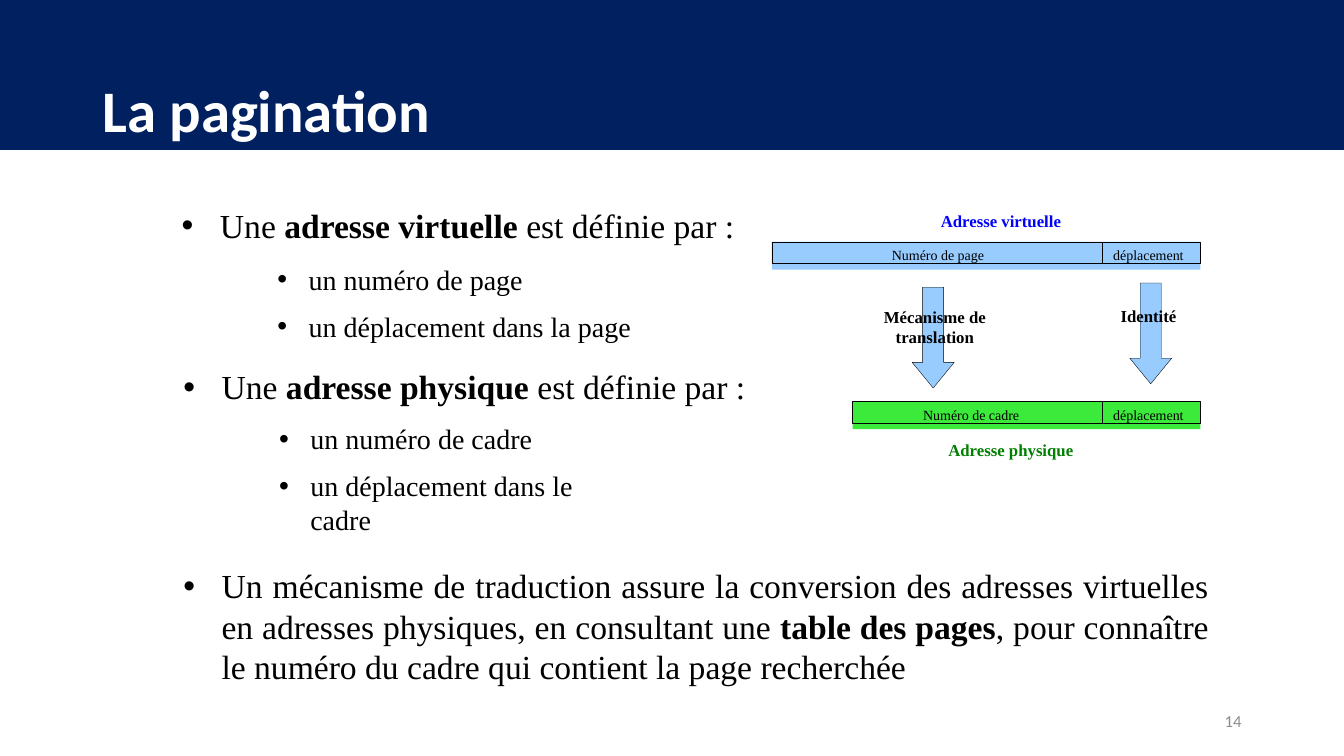
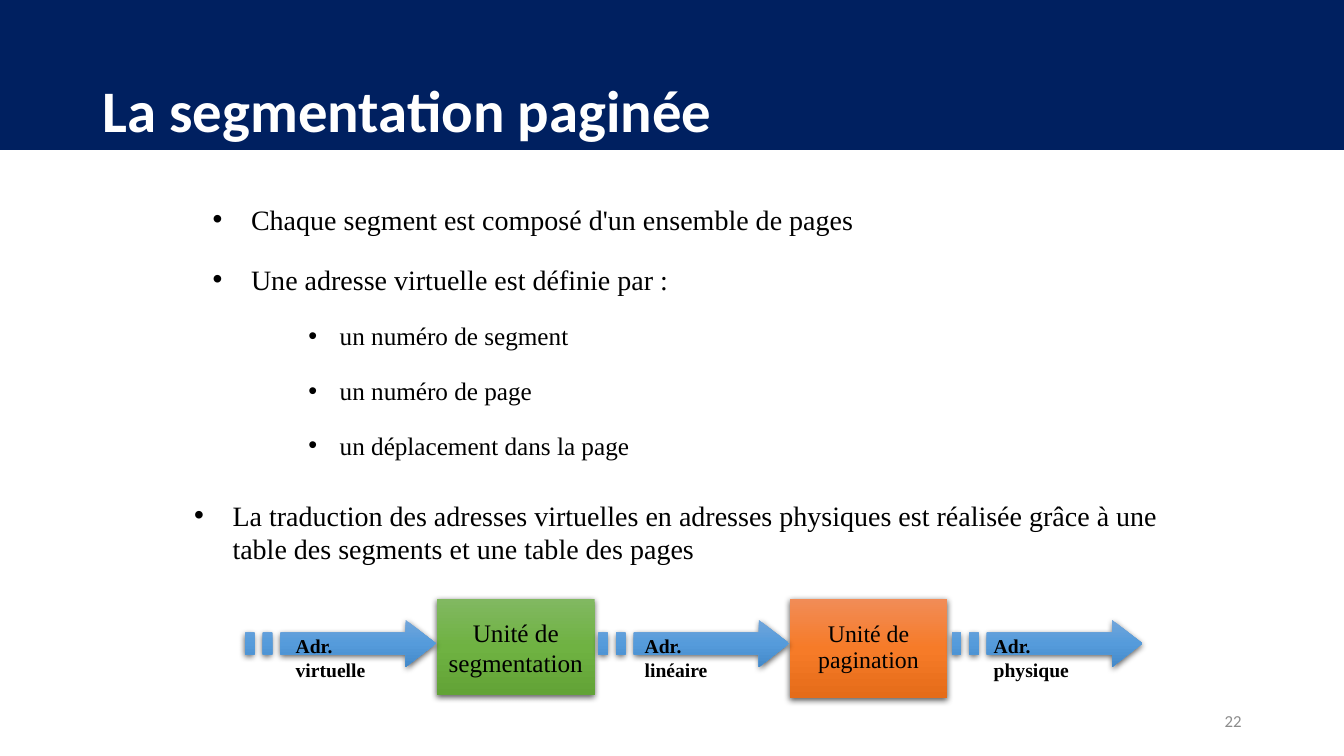
from dataclasses import dataclass
from typing import Any

from lxml.etree import SubElement
from pptx import Presentation
from pptx.dml.color import RGBColor
from pptx.enum.shapes import MSO_SHAPE
from pptx.enum.text import MSO_ANCHOR, MSO_AUTO_SIZE, PP_ALIGN
from pptx.oxml.ns import qn
from pptx.util import Emu, Inches, Pt

COLOURS = {
    "navy": "002060", "white": "FFFFFF", "black": "000000", "grey": "8C8C8C",
    "sky": "98CCFF", "lime": "3CEA3C", "blue": "0000FF", "green": "007F00",
}
GRADIENTS = {
    "leaf": ("81B861", "6FB242", "62A336"),
    "orange": ("F18C57", "F67B28", "E56C19"),
    "azure": ("71A6DB", "559BDB", "448ACA"),
}
SERIF = "Times New Roman"
COLUMNS, ROWS = 160, 90
INDENTS = ((0.39, -0.38), (1.27, -0.31))


def colour(name):
    return RGBColor.from_string(COLOURS[name])


def apply(target, **values):
    for name, value in values.items():
        setattr(target, name, value)


@dataclass
class Course:
    """Course deck on a 160 by 90 grid, with its style and current page."""

    deck: Any
    page: Any = None

    def cells(self, *counts):
        return [Emu(round(self.deck.slide_width * count / COLUMNS)) for count in counts]

    def place(self, shape, area):
        left, top, width, height = self.cells(*area)
        apply(shape, left=left, top=top, width=width, height=height)

    def frame(self, shape, left=0, top=0, right=0, anchor=MSO_ANCHOR.TOP):
        apply(shape.text_frame, word_wrap=True, auto_size=MSO_AUTO_SIZE.NONE,
              margin_left=Inches(left), margin_top=Inches(top),
              margin_right=Inches(right), margin_bottom=0, vertical_anchor=anchor)
        return shape.text_frame.paragraphs[0]

    def fill_para(self, para, text, size, ink="black", bold=False, font=SERIF,
                  align=PP_ALIGN.LEFT, spacing=1.0, before=0):
        apply(para, alignment=align, line_spacing=spacing, space_before=Pt(before))
        for index, part in enumerate(text.split("**")):
            if part:
                span = para.add_run()
                span.text = part
                apply(span.font, name=font, size=Pt(size), bold=bold or index % 2 == 1)
                span.font.color.rgb = colour(ink)

    def start(self, layout, title, number):
        self.page = self.deck.slides.add_slide(self.deck.slide_layouts[layout])
        heading = self.page.shapes.title
        self.place(heading, (11, 4.8, 138, 17.4))
        self.fill_para(self.frame(heading, left=0.1, anchor=MSO_ANCHOR.MIDDLE), title, 42,
                       "white", bold=True, font="Calibri", spacing=0.9)
        band = self.block((0, 0, COLUMNS, 17.8), "navy", edge="navy", weight=1)
        heading.element.addprevious(band.element)
        self.label((113, 83.4, 36, 4.8), number, 12, inset=0.1, anchor=MSO_ANCHOR.MIDDLE,
                   ink="grey", font="Calibri", align=PP_ALIGN.RIGHT)

    def listing(self, index, area, items, sizes, align=PP_ALIGN.LEFT, spread=1.0):
        box = self.page.placeholders[index]
        self.place(box, area)
        para = self.frame(box)
        for order, (level, before, text) in enumerate(items):
            if order:
                para = box.text_frame.add_paragraph()
            para.level = level
            margin, hang = INDENTS[level]
            settings = para._p.get_or_add_pPr()
            settings.set("marL", str(Inches(margin)))
            settings.set("indent", str(Inches(hang)))
            SubElement(settings, qn("a:buChar")).set("char", "•")
            self.fill_para(para, text, sizes[level], align=align, before=before,
                           spacing=spread if level else 1.0)

    def label(self, area, text, size, inset=0, anchor=MSO_ANCHOR.TOP, **style):
        box = self.page.shapes.add_textbox(*self.cells(*area))
        para = self.frame(box, left=inset, right=inset, anchor=anchor)
        self.fill_para(para, text, size, **style)

    def block(self, area, fill, kind=MSO_SHAPE.RECTANGLE, edge=None, weight=0.25):
        shape = self.page.shapes.add_shape(kind, *self.cells(*area))
        return self.paint(shape, fill, edge, weight)

    def paint(self, shape, fill, edge=None, weight=0.25):
        shape.shadow.inherit = False
        if fill in GRADIENTS:
            self.shade(shape, GRADIENTS[fill])
        else:
            shape.fill.solid()
            shape.fill.fore_color.rgb = colour(fill)
        if edge:
            shape.line.color.rgb = colour(edge)
            shape.line.width = Pt(weight)
        else:
            shape.line.fill.background()
        return shape

    def shade(self, shape, tones):
        shape.fill.gradient()
        shape.fill.gradient_angle = 270
        stops = shape.element.find(".//" + qn("a:gsLst"))
        for stop in list(stops):
            stops.remove(stop)
        for index, tone in enumerate(tones):
            stop = SubElement(stops, qn("a:gs"), pos=str(index * 50000))
            SubElement(stop, qn("a:srgbClr"), val=tone)
        effects = shape.element.find(".//" + qn("a:effectLst"))
        shadow = SubElement(effects, qn("a:outerShdw"), blurRad=str(Pt(4.5)),
                            dist=str(Pt(1.5)), dir="5400000", rotWithShape="0")
        ink = SubElement(shadow, qn("a:srgbClr"), val=COLOURS["black"])
        SubElement(ink, qn("a:alpha"), val="63000")

    def field(self, area, text, fill, inset):
        shape = self.block(area, fill, edge="black")
        self.fill_para(self.frame(shape, left=inset, top=0.05), text, 10)

    def down_arrow(self, left, top):
        arrow = self.block((left, top, 5, 12), "sky", MSO_SHAPE.DOWN_ARROW, "black")
        arrow.adjustments[0], arrow.adjustments[1] = 0.5, 0.61

    def unit(self, area, text, fill, size, top, spacing):
        shape = self.block(area, fill)
        self.fill_para(self.frame(shape, top=top), text, size,
                       align=PP_ALIGN.CENTER, spacing=spacing)

    def striped_arrow(self, left, top):
        upper, lower = 1.5, 4.1
        outlines = [[(19.1, 0), (22.7, 2.8), (19.1, 5.6), (19.1, lower),
                     (4.2, lower), (4.2, upper), (19.1, upper)]]
        for stripe in (0, 2.1):
            outlines.append([(stripe, upper), (stripe + 1.1, upper),
                             (stripe + 1.1, lower), (stripe, lower)])
        builder = None
        for outline in outlines:
            first, *others = [self.cells(left + x, top + y) for x, y in outline]
            if builder is None:
                builder = self.page.shapes.build_freeform(*first)
            else:
                builder.move_to(*first)
            builder.add_line_segments(others, close=True)
        self.paint(builder.convert_to_shape(), "azure")


def paging(course):
    course.start(4, "La pagination", "14")
    sizes = (24, 20)
    course.listing(1, (21.5, 24.4, 69, 16.7), [
        (0, 0, "Une **adresse virtuelle** est définie par :"),
        (1, 12, "un numéro de page"),
        (1, 9.6, "un déplacement dans la page"),
    ], sizes)
    course.listing(2, (21.7, 43.6, 68.2, 5), [
        (0, 0, "Une **adresse physique** est définie par :"),
    ], sizes)
    course.listing(3, (21.7, 50.2, 51.7, 14), [
        (1, 0, "un numéro de cadre"),
        (1, 9.6, "un déplacement dans le cadre"),
    ], sizes)
    course.listing(4, (21.7, 67.3, 122.2, 14.8), [
        (0, 0, "Un mécanisme de traduction assure la conversion des adresses virtuelles "
               "en adresses physiques, en consultant une **table des pages**, pour "
               "connaître le numéro du cadre qui contient la page recherchée"),
    ], sizes, align=PP_ALIGN.JUSTIFY)

    split, end = 131.2, 142.9
    for left, top, fill, text, inset in (
        (91.9, 28.8, "sky", "Numéro de page", 1.19),
        (101.5, 47.8, "lime", "Numéro de cadre", 0.7),
    ):
        course.block((left, top, end - left, 3.3), fill)
        course.field((left, top, split - left, 2.6), text, fill, inset)
        course.field((split, top, end - split, 2.6), "déplacement", fill, 0.11)
    course.down_arrow(108.6, 34.2)
    course.down_arrow(134.5, 33.7)
    course.label((104.3, 36.6, 14, 5), "Mécanisme de translation", 12, bold=True,
                 align=PP_ALIGN.CENTER, spacing=Pt(14))
    for area, text, ink in (
        ((133.4, 36.4, 8, 2.6), "Identité", "black"),
        ((112, 25.1, 17, 2.6), "Adresse virtuelle", "blue"),
        ((112.9, 52.4, 18, 2.6), "Adresse physique", "green"),
    ):
        course.label(area, text, 12, ink=ink, bold=True)


def paged_segmentation(course):
    course.start(3, "La segmentation paginée", "22")
    sizes = (20, 18)
    course.listing(1, (25.2, 24.1, 116.5, 33), [
        (0, 0, "Chaque segment est composé d'un ensemble de pages"),
        (0, 18.6, "Une adresse virtuelle est définie par :"),
        (1, 8.1, "un numéro de segment"),
        (1, 8.1, "un numéro de page"),
        (1, 8.1, "un déplacement dans la page"),
    ], sizes, spread=1.44)
    course.listing(2, (23, 59.3, 118.7, 8.2), [
        (0, 0, "La traduction des adresses virtuelles en adresses physiques est réalisée "
               "grâce à une table des segments et une table des pages"),
    ], sizes)
    course.unit((52, 71.3, 18.8, 11.4), "Unité de segmentation", "leaf", 18, 0.18, 1.0)
    course.unit((94, 71.3, 18.8, 11.8), "Unité de pagination", "orange", 17, 0.22, Pt(18.5))
    for index, kind in enumerate(("virtuelle", "linéaire", "physique")):
        course.striped_arrow(29.2 + 42.05 * index, 73.8)
        course.label((35.2 + 41.55 * index, 75.5, 12, 5.8), f"Adr. {kind}", 14, bold=True)


def main():
    deck = Presentation()
    apply(deck, slide_width=Inches(COLUMNS / 12), slide_height=Inches(ROWS / 12))
    course = Course(deck)
    paging(course)
    paged_segmentation(course)
    deck.save("out.pptx")


if __name__ == "__main__":
    main()
